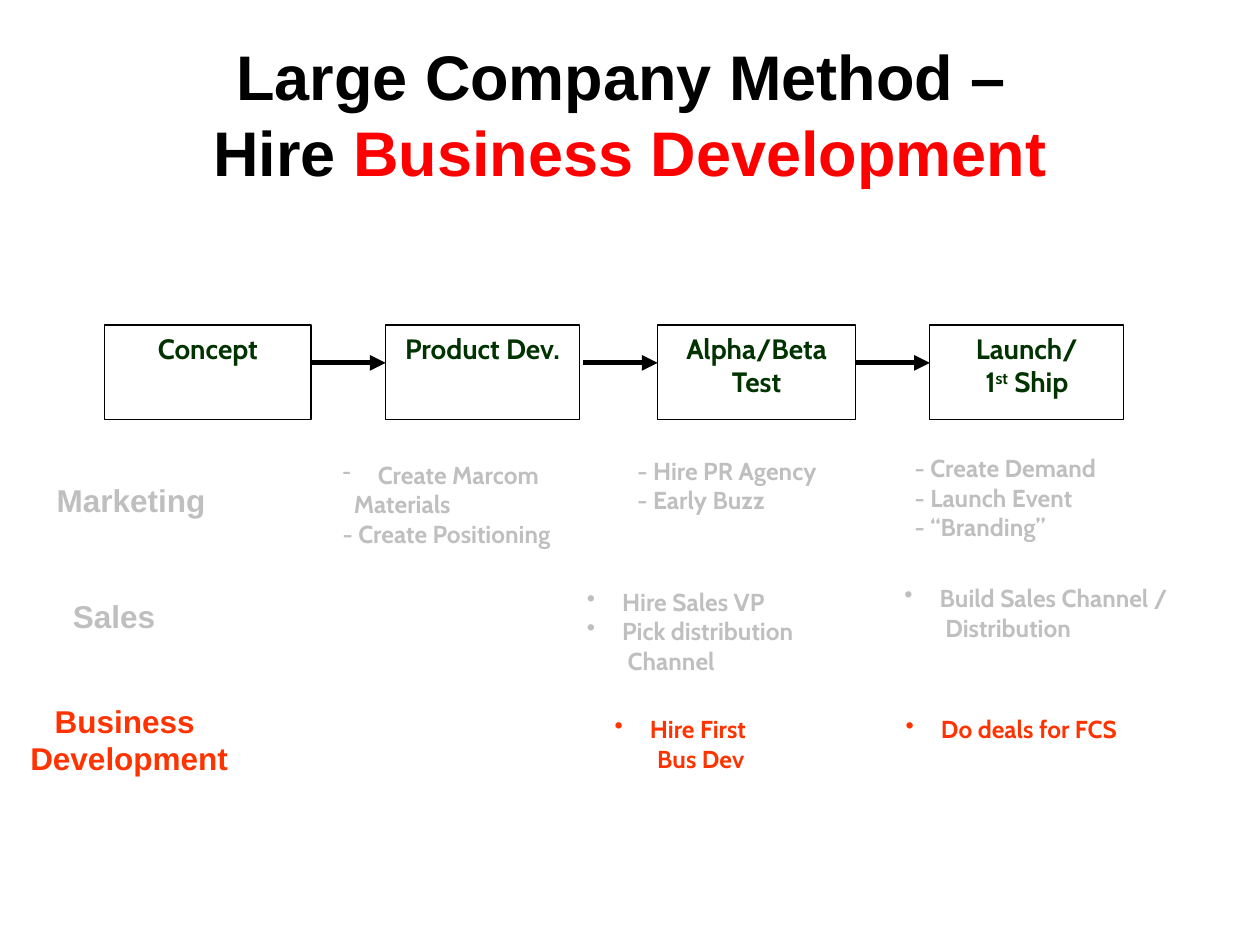
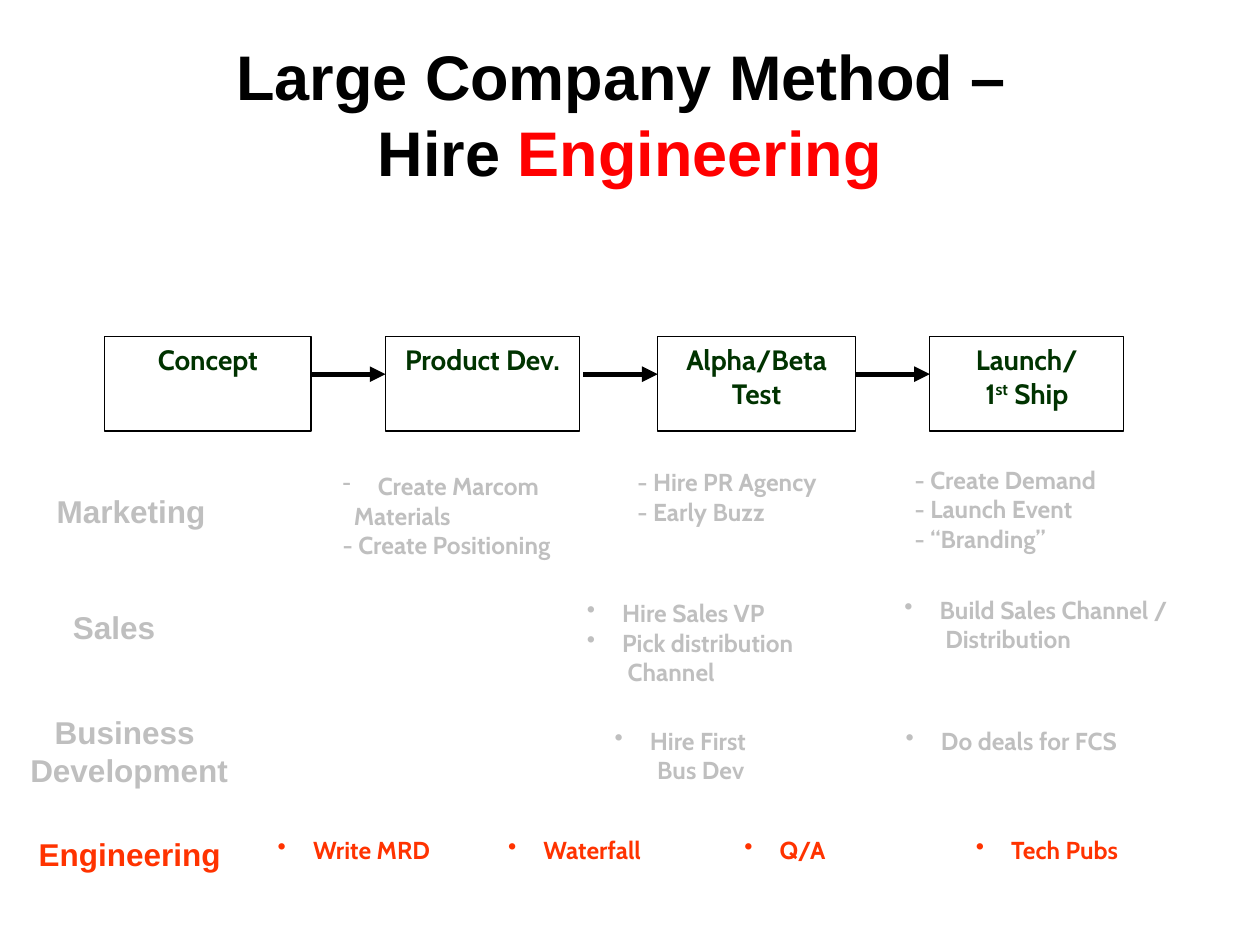
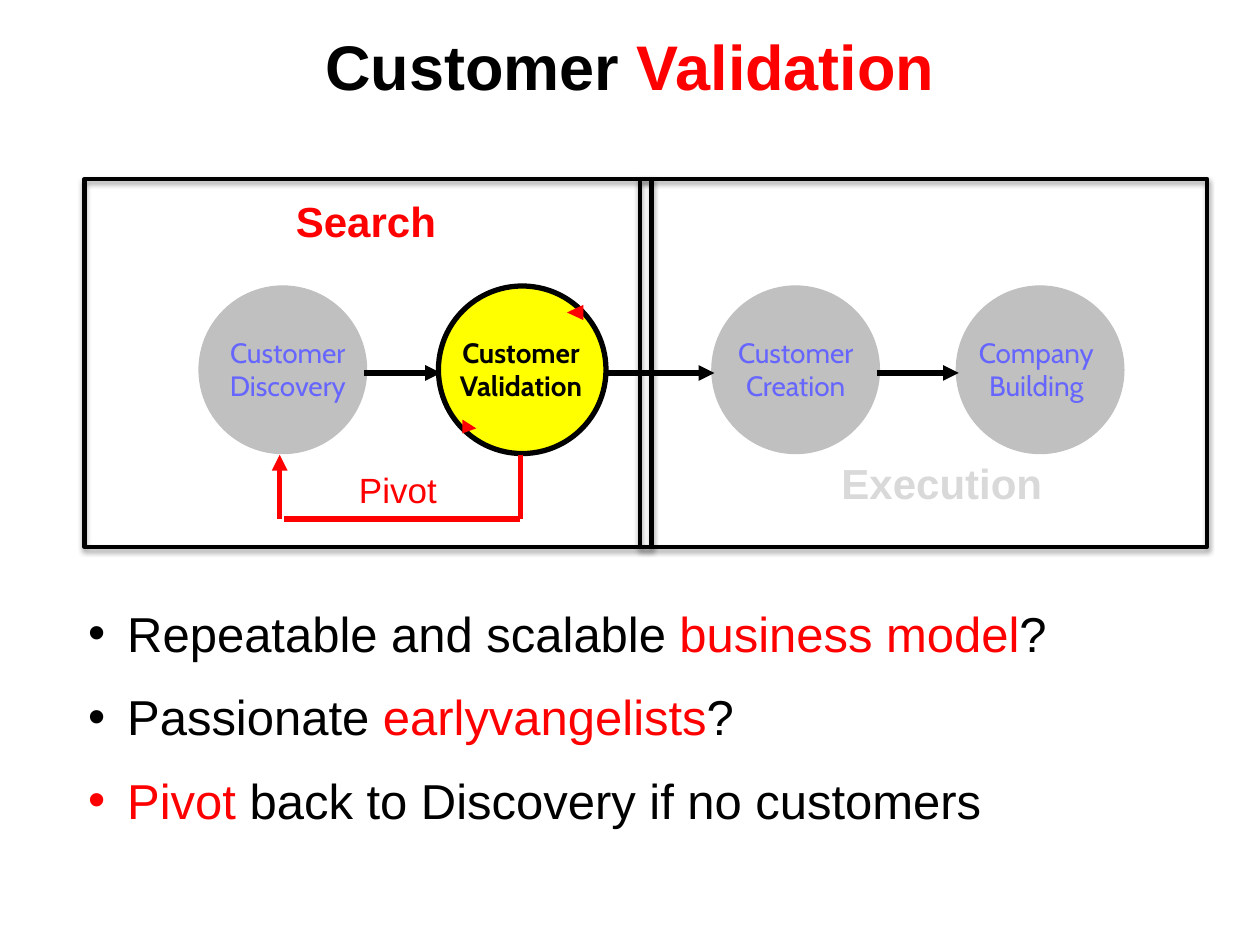
"""Build three slides on the large company method and customer validation."""
from dataclasses import dataclass
from typing import Any, Optional

from lxml.etree import SubElement
from pptx import Presentation
from pptx.dml.color import RGBColor
from pptx.enum.shapes import MSO_CONNECTOR as Connector, MSO_SHAPE as Preset
from pptx.enum.text import MSO_ANCHOR as Anchor, MSO_AUTO_SIZE as AutoSize, PP_ALIGN as Align
from pptx.oxml.ns import qn
from pptx.util import Inches, Pt

Box = tuple[float, float, float, float]
Point = tuple[float, float]


@dataclass(frozen=True)
class Theme:
    """Colours, fonts and type sizes of the deck."""
    black: str = "000000"
    white: str = "FFFFFF"
    red: str = "FF0000"
    accent: str = "FF3300"
    muted: str = "BFBFBF"
    stage: str = "003300"
    disc: str = "C0C0C0"
    active: str = "FFFF00"
    phase: str = "6666FF"
    faded: str = "D9D9D9"
    sans: str = "Arial"
    cabin: str = "Cabin"
    title: int = 36
    body: int = 28
    heading: int = 24
    pivot: int = 20
    label: int = 18
    node: int = 16
    item: int = 14
    leading: float = 1.2
    thin: float = 0.75
    frame: float = 2.5
    thick: float = 3


THEME = Theme()


@dataclass(frozen=True)
class Style:
    """Type style of a block of text."""
    size: int
    color: str
    font: str = THEME.sans
    bold: bool = True
    align: Any = Align.LEFT


@dataclass(frozen=True)
class Span:
    """Piece of text with its own colour or raised baseline."""
    text: str
    color: Optional[str] = None
    raised: bool = False


@dataclass(frozen=True)
class Para:
    """Paragraph with an optional bullet and indent."""
    spans: tuple[Span, ...]
    bullet: str = ""
    indent: float = 0
    before: float = 0


@dataclass(frozen=True)
class Cell:
    """Activities placed under one stage."""
    at: Box
    paras: tuple[Para, ...]
    align: Any = Align.LEFT


@dataclass(frozen=True)
class Track:
    """Department label with its activities."""
    at: Box
    label: tuple[Para, ...]
    cells: tuple[Cell, ...]


@dataclass(frozen=True)
class Stage:
    """Step in the product development row."""
    left: float
    width: float
    paras: tuple[Para, ...]


@dataclass(frozen=True)
class Phase:
    """Circle in the customer development row."""
    left: float
    text_left: float
    text_width: float
    paras: tuple[Para, ...]
    active: bool = False


def plain(*lines: str) -> tuple[Para, ...]:
    """Return one plain paragraph per line."""
    return tuple(Para((Span(text),)) for text in lines)


def listed(*lines: str, bullet: str = "•") -> tuple[Para, ...]:
    """Return one bulleted paragraph per line."""
    return tuple(Para((Span(text),), bullet, 0.28) for text in lines)


STAGES = (
    Stage(0.83, 1.64, plain("Concept")),
    Stage(3.06, 1.54, plain("Product Dev.")),
    Stage(5.22, 1.57, plain("Alpha/Beta Test")),
    Stage(7.38, 1.54, plain("Launch/") + (Para((Span("1"), Span("st", raised=True), Span(" Ship"))),)),
)

TRACKS = (
    Track((0.35, 3.77, 1.38, 0.4), plain("Marketing"), (
        Cell((2.62, 3.6, 2.21, 0.6), listed("Create Marcom", bullet="-")
             + (Para((Span("Materials"),), indent=0.09),) + plain("- Create Positioning")),
        Cell((4.96, 3.57, 1.93, 0.6), plain("- Hire PR Agency", "- Early Buzz")),
        Cell((7.16, 3.55, 1.98, 0.6), plain("- Create Demand", "- Launch Event", "- “Branding”")),
    )),
    Track((0.48, 4.69, 0.85, 0.4), plain("Sales"), (
        Cell((4.56, 4.61, 2.51, 0.48), listed("Hire Sales VP", "Pick distribution \n Channel")),
        Cell((7.08, 4.58, 2.49, 0.48), listed("Build Sales Channel / \n Distribution")),
    )),
    Track((0.14, 5.52, 1.77, 0.7), plain("Business ", "Development"), (
        Cell((4.67, 5.62, 1.46, 0.48), listed("Hire First\n Bus Dev"), Align.CENTER),
        Cell((7.09, 5.62, 2.2, 0.48), listed("Do deals for FCS")),
    )),
    Track((0.2, 6.49, 1.66, 0.4), plain("Engineering"), tuple(
        Cell((left, 6.49, 1.46, 0.48), listed(text), Align.CENTER)
        for left, text in ((2.08, "Write MRD"), (3.83, "Waterfall"), (5.5, "Q/A"), (7.58, "Tech Pubs"))
    )),
)

PHASES = (
    Phase(1.58, 1.77, 1.03, plain("Customer\nDiscovery")),
    Phase(3.48, 3.52, 1.23, plain("Customer\nValidation"), active=True),
    Phase(5.65, 5.77, 1.09, plain("Customer Creation")),
    Phase(7.59, 7.69, 1.07, plain("Company", "Building")),
)

QUESTIONS = (
    (Span("Repeatable and scalable "), Span("business model", THEME.red), Span("?")),
    (Span("Passionate "), Span("earlyvangelists", THEME.red), Span("?")),
    (Span("Pivot ", THEME.red), Span("back to Discovery if no customers")),
)


def rgb(color: str) -> RGBColor:
    """Return the colour object for a hex value."""
    return RGBColor.from_string(color)


def apply(target: Any, values: dict[str, Any]) -> None:
    """Set each named attribute on the target."""
    for name, value in values.items():
        setattr(target, name, value)


def place(shape: Any, at: Box) -> None:
    """Move and size a shape."""
    apply(shape, dict(zip(("left", "top", "width", "height"), map(Inches, at))))


def paint(shape: Any, fill: Optional[str], line: Optional[str] = None, width: float = THEME.thin) -> None:
    """Set the fill and outline of a shape."""
    if fill:
        shape.fill.solid()
        shape.fill.fore_color.rgb = rgb(fill)
    else:
        shape.fill.background()
    if line:
        shape.line.color.rgb = rgb(line)
        shape.line.width = Pt(width)
    else:
        shape.line.fill.background()


def write(shape: Any, paras: tuple[Para, ...], style: Style, wrap: bool = True,
          margin: Optional[float] = None) -> None:
    """Fill a shape with formatted paragraphs."""
    frame = shape.text_frame
    apply(frame, {"word_wrap": wrap, "auto_size": AutoSize.NONE, "vertical_anchor": Anchor.TOP})
    if margin is not None:
        apply(frame, {f"margin_{side}": Inches(margin) for side in ("left", "top", "right", "bottom")})
    for index, item in enumerate(paras):
        para = frame.add_paragraph() if index else frame.paragraphs[0]
        properties = para._p.get_or_add_pPr()
        if item.indent:
            properties.set("marL", str(Inches(item.indent)))
            properties.set("indent", str(-Inches(item.indent) if item.bullet else 0))
        if item.bullet:
            SubElement(properties, qn("a:buChar"), char=item.bullet)
        apply(para, {"alignment": style.align, "space_before": Pt(item.before if index else 0)})
        if style.font == THEME.sans:
            para.line_spacing = Pt(style.size * THEME.leading)
        for piece in item.spans:
            for number, text in enumerate(piece.text.split("\n")):
                if number:
                    para.add_line_break()
                span = para.add_run()
                span.text = text
                apply(span.font, {"size": Pt(style.size), "name": style.font, "bold": style.bold})
                span.font.color.rgb = rgb(piece.color or style.color)
                if piece.raised:
                    span._r.get_or_add_rPr().set("baseline", "30000")


def add_text(page: Any, at: Box, paras: tuple[Para, ...], style: Style, wrap: bool = True,
             margin: Optional[float] = None) -> Any:
    """Add a text box."""
    box = page.shapes.add_textbox(*map(Inches, at))
    write(box, paras, style, wrap, margin)
    return box


def add_preset(page: Any, preset: Any, at: Box, fill: Optional[str], line: str, width: float) -> Any:
    """Add a preset shape without shadow."""
    shape = page.shapes.add_shape(preset, *map(Inches, at))
    shape.shadow.inherit = False
    paint(shape, fill, line, width)
    return shape


def add_line(page: Any, start: Point, end: Point, color: str = THEME.black, arrow: bool = True) -> None:
    """Add a thick line, with an arrowhead at its end if asked."""
    line = page.shapes.add_connector(Connector.STRAIGHT, *map(Inches, start + end))
    line.line.color.rgb = rgb(color)
    line.line.width = Pt(THEME.thick)
    if arrow:
        SubElement(line.line._get_or_add_ln(), qn("a:tailEnd"), type="triangle")
    SubElement(line._element.spPr, qn("a:effectLst"))


def add_triangle(page: Any, points: tuple[Point, ...]) -> None:
    """Add a red arrowhead outline."""
    first, *others = [tuple(map(Inches, point)) for point in points]
    builder = page.shapes.build_freeform(*first)
    builder.add_line_segments(others)
    shape = builder.convert_to_shape()
    shape.shadow.inherit = False
    paint(shape, THEME.red)


def add_frame(page: Any, left: float) -> None:
    """Add a half of the diagram frame with a soft shadow."""
    shape = add_preset(page, Preset.RECTANGLE, (left, 1.42, 4.5, 2.92), None, THEME.black, THEME.frame)
    effects = shape._element.spPr.find(qn("a:effectLst"))
    shadow = SubElement(effects, qn("a:outerShdw"), blurRad=str(Pt(3.1)), dist=str(Pt(1.8)),
                        dir="5400000", rotWithShape="0")
    color = SubElement(shadow, qn("a:srgbClr"), val=THEME.black)
    SubElement(color, qn("a:alpha"), val="35000")


def add_page(deck: Any, layout: int, at: Box, start: str, emphasis: str) -> Any:
    """Add a slide with a two-colour title."""
    page = deck.slides.add_slide(deck.slide_layouts[layout])
    title = page.shapes.title
    place(title, at)
    paint(title, THEME.white)
    write(title, (Para((Span(start), Span(emphasis, THEME.red))),),
          Style(THEME.title, THEME.black, align=Align.CENTER))
    return page


def add_method(deck: Any, emphasis: str, tracks: tuple[Track, ...], shift: float) -> None:
    """Add a method slide that highlights its last track."""
    page = add_page(deck, 5, (0.5, 0.25, 9, 1.25), "Large Company Method – \nHire ", emphasis)
    top = 2.58 + shift
    for index, stage in enumerate(STAGES):
        box = add_preset(page, Preset.RECTANGLE, (stage.left, top, stage.width, 0.75),
                         THEME.white, THEME.black, THEME.thin)
        write(box, stage.paras, Style(THEME.node, THEME.stage, THEME.cabin, align=Align.CENTER))
        if index:
            add_line(page, (stage.left - 0.59, top + 0.3), (stage.left, top + 0.3))
    for track in tracks:
        color = THEME.accent if track is tracks[-1] else THEME.muted
        left, label_top, width, height = track.at
        add_text(page, (left, label_top + shift, width, height), track.label,
                 Style(THEME.label, color, align=Align.CENTER), wrap=False)
        for cell in track.cells:
            left, cell_top, width, height = cell.at
            add_text(page, (left, cell_top + shift, width, height), cell.paras,
                     Style(THEME.item, color, THEME.cabin, align=cell.align))


def add_validation(deck: Any) -> None:
    """Add the customer validation slide."""
    page = add_page(deck, 1, (0.5, 0.17, 9, 0.72), "Customer ", "Validation")
    for phase in PHASES:
        fill, line, width = ((THEME.active, THEME.black, THEME.thick) if phase.active
                             else (THEME.disc, THEME.disc, THEME.thin))
        add_preset(page, Preset.OVAL, (phase.left, 2.27, 1.33, 1.33), fill, line, width)
    add_triangle(page, ((4.63, 2.42), (4.5, 2.48), (4.63, 2.54)))
    add_triangle(page, ((3.78, 3.4), (3.67, 3.33), (3.67, 3.44)))
    for phase in PHASES:
        color = THEME.black if phase.active else THEME.phase
        add_text(page, (phase.text_left, 2.66, phase.text_width, 0.54), phase.paras,
                 Style(THEME.node, color, THEME.cabin, phase.active, Align.CENTER), margin=0)
    add_line(page, (4.13, 3.61), (4.13, 4.12), THEME.red, arrow=False)
    add_line(page, (4.13, 4.12), (2.25, 4.12), THEME.red, arrow=False)
    add_line(page, (2.22, 4.12), (2.22, 3.61), THEME.red)
    for before, after in zip(PHASES, PHASES[1:]):
        add_line(page, (before.left + 1.31, 2.96), (after.left + 0.02, 2.96))
    body = page.placeholders[1]
    place(body, (0.6, 4.74, 9.13, 1.99))
    write(body, tuple(Para(spans, "•", 0.31, THEME.body / 2) for spans in QUESTIONS),
          Style(THEME.body, THEME.black, bold=False))
    add_text(page, (2.75, 3.67, 0.89, 0.44), plain("Pivot"), Style(THEME.pivot, THEME.red, bold=False))
    for left, at, text, color in (
        (5.08, (6.58, 3.58, 1.81, 0.5), "Execution", THEME.faded),
        (0.67, (2.25, 1.5, 1.32, 0.5), "Search", THEME.red),
    ):
        add_frame(page, left)
        add_text(page, at, plain(text), Style(THEME.heading, color), wrap=False)


def main() -> None:
    """Build and save the deck."""
    deck = Presentation()
    apply(deck, {"slide_width": Inches(10), "slide_height": Inches(7.5)})
    add_method(deck, "Business Development", TRACKS[:3], 0)
    add_method(deck, "Engineering", TRACKS, 0.09)
    add_validation(deck)
    deck.save("out.pptx")


if __name__ == "__main__":
    main()
